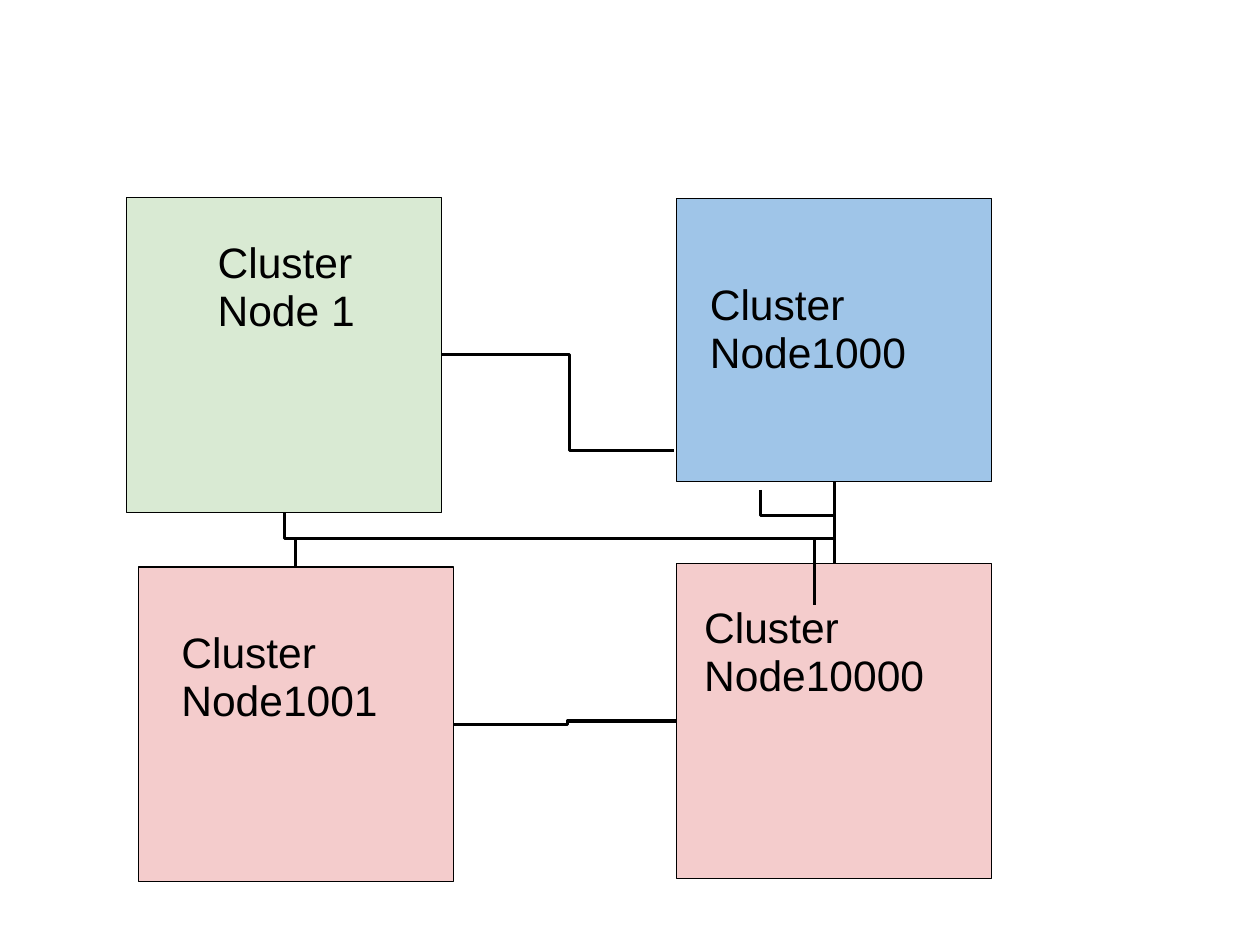
import pptx
import pptx.dml.color
import pptx.enum.shapes
import pptx.enum.text
import pptx.oxml
import pptx.oxml.ns
import pptx.util

Pt = pptx.util.Pt
RGBColor = pptx.dml.color.RGBColor

BLACK = RGBColor(0x00, 0x00, 0x00)
GREEN = RGBColor(0xD9, 0xEA, 0xD3)
BLUE = RGBColor(0x9F, 0xC5, 0xE8)
PINK = RGBColor(0xF4, 0xCC, 0xCC)

# name: (box, fill, label lines, label offset, label size)
NODES = {
    "first": ((80.6, 125.3, 200, 200), GREEN, ["Cluster", "Node 1"], (57.6, 26.6), (93, 62)),
    "blue": ((429.8, 126, 200, 180), BLUE, ["Cluster", "Node1000"], (20.9, 52.6), (125, 92)),
    "last": ((429.8, 357.8, 200, 200), PINK, ["Cluster", "Node10000"], (17.3, 25.9), (140, 62)),
    "left": ((87.8, 360, 200, 200), PINK, ["Cluster", "Node1001"], (27.4, 39.6), (139, 62)),
}


def write(slide, box, lines, size=27, font="Arial", color=BLACK, spacing=0.95):
    frame = slide.shapes.add_textbox(*map(Pt, box)).text_frame
    frame.word_wrap = False
    frame.auto_size = pptx.enum.text.MSO_AUTO_SIZE.SHAPE_TO_FIT_TEXT
    frame.margin_left = frame.margin_right = frame.margin_top = frame.margin_bottom = 0
    frame.text = "\n".join(lines)
    for para in frame.paragraphs:
        para.line_spacing = spacing
        para.font.size = Pt(size)
        para.font.name = font
        para.font.color.rgb = color


def draw_node(slide, box, fill, lines, offset, size):
    tile = slide.shapes.add_shape(pptx.enum.shapes.MSO_SHAPE.RECTANGLE, *map(Pt, box))
    tile.shadow.inherit = False
    tile.fill.solid()
    tile.fill.fore_color.rgb = fill
    tile.line.color.rgb = BLACK
    tile.line.width = Pt(0.75)
    write(slide, (box[0] + offset[0], box[1] + offset[1], *size), lines)


def spot(name, across, down):
    """Return the point at the given fractions of a node's width and height."""
    left, top, width, height = NODES[name][0]
    return left + across * width, top + down * height


def link(slide, start, end, bend, upright=False):
    """Draw an elbow that bends at a fraction of its run; upright ones leave vertically."""
    (x1, y1), (x2, y2) = start, end
    turn = 0
    if upright:
        mid_x, mid_y = (x1 + x2) / 2, (y1 + y2) / 2
        half_w, half_h = abs(y2 - y1) / 2, (x2 - x1) / 2
        turn = 270 if y2 > y1 else 90
        if turn == 270:
            half_h = -half_h
        x1, y1 = mid_x + half_w, mid_y + half_h
        x2, y2 = mid_x - half_w, mid_y - half_h
    elbow = slide.shapes.add_connector(
        pptx.enum.shapes.MSO_CONNECTOR.ELBOW, Pt(x1), Pt(y1), Pt(x2), Pt(y2))
    elbow.line.color.rgb = BLACK
    elbow.line.width = Pt(0)
    props = elbow._element.spPr
    qn = pptx.oxml.ns.qn
    if turn:
        props.find(qn("a:xfrm")).set("rot", str(turn * 60000))
    guides = props.find(qn("a:prstGeom")).get_or_add_avLst()
    guide = guides.makeelement(qn("a:gd"), {"name": "adj1", "fmla": f"val {round(bend * 100000)}"})
    guides.append(guide)
    props.append(props.makeelement(qn("a:effectLst"), {}))


def draw_links(slide):
    link(slide, spot("first", 1, 0.5), (428, 286), 0.55)
    link(slide, (483, 311), spot("last", 0.5, 0), 0.35, upright=True)
    link(slide, spot("first", 0.5, 1), (517, 384), 0.28, upright=True)
    link(slide, spot("left", 0.5, 0), spot("blue", 0.5, 1), 0.33, upright=True)
    link(slide, spot("last", 0, 0.5), spot("left", 1, 0.5), 0.49)


def main():
    deck = pptx.Presentation()
    deck.slide_width, deck.slide_height = Pt(800), Pt(600)
    slide = deck.slides.add_slide(deck.slide_layouts[6])
    for node in NODES.values():
        draw_node(slide, *node)
    draw_links(slide)
    deck.save("out.pptx")


if __name__ == "__main__":
    main()
